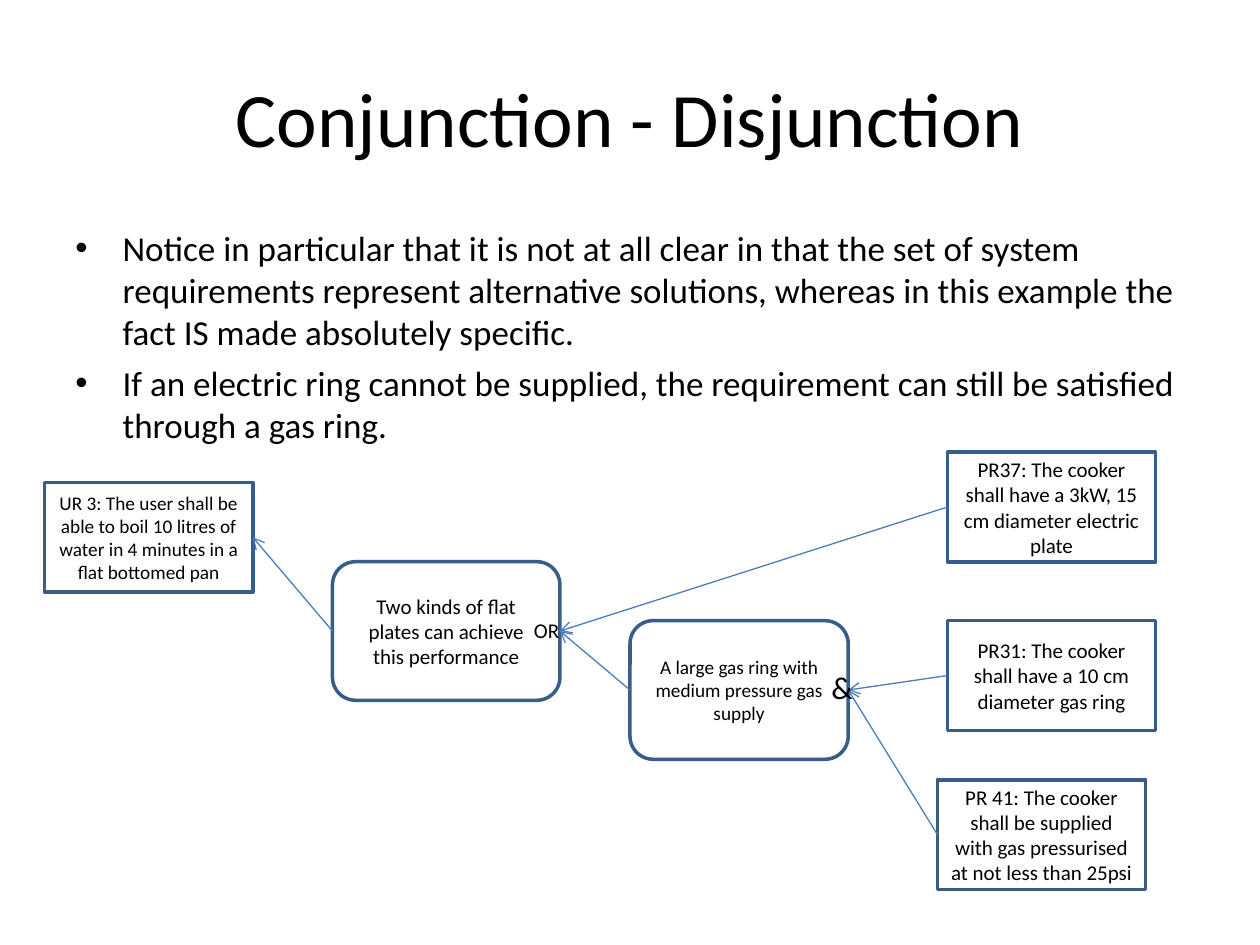
"""Builds the Conjunction - Disjunction slide with its requirement tree."""
from lxml import etree
from pptx import Presentation
from pptx.dml.color import RGBColor
from pptx.enum.shapes import MSO_CONNECTOR, MSO_SHAPE
from pptx.enum.text import MSO_ANCHOR, PP_ALIGN
from pptx.oxml.ns import qn
from pptx.util import Pt

BLACK = RGBColor(0x00, 0x00, 0x00)
EDGE = RGBColor(0x38, 0x5D, 0x8A)
LINK = RGBColor(0x4A, 0x7E, 0xBB)
RECT, ROUND = MSO_SHAPE.RECTANGLE, MSO_SHAPE.ROUNDED_RECTANGLE
LEFT, CENTER = PP_ALIGN.LEFT, PP_ALIGN.CENTER
TOP, MIDDLE = MSO_ANCHOR.TOP, MSO_ANCHOR.MIDDLE
STRAIGHT = MSO_CONNECTOR.STRAIGHT
FONT = "Calibri"
LEFT_SITE, RIGHT_SITE = 1, 3
HANG = 27

TITLE = "Conjunction - Disjunction"
POINTS = [
    "Notice in particular that it is not at all clear in that the set of system "
    "requirements represent alternative solutions, whereas in this example the "
    "fact IS made absolutely specific.",
    "If an electric ring cannot be supplied, the requirement can still be "
    "satisfied through a gas ring.",
]
SIZES = {RECT: (119, 62.7), ROUND: (130, 79.2)}
BOXES = {
    "plate": (RECT, 541.4, 258.4, 12,
              "PR37: The cooker shall have a 3kW, 15 cm diameter electric plate"),
    "ring": (RECT, 541.4, 354.7, 12,
             "PR31: The cooker shall have a 10 cm diameter gas ring"),
    "psi": (RECT, 535.7, 445.6, 12,
            "PR 41: The cooker shall be supplied with gas pressurised "
            "at not less than 25psi"),
    "gas": (ROUND, 360, 354.7, 11,
            "A large gas ring with medium pressure gas supply"),
    "kinds": (ROUND, 190, 321, 12,
              "Two kinds of flat plates can achieve this performance"),
    "user": (RECT, 25.5, 275.7, 11,
             "UR 3: The user shall be able to boil 10 litres of water "
             "in 4 minutes in a flat bottomed pan"),
}
WIDTHS = {"gas": 124.7}
LINKS = [("plate", "kinds"), ("ring", "gas"), ("psi", "gas"),
         ("gas", "kinds"), ("kinds", "user")]
MARKS = [("&", 468, 378, 26.6, 29, 18), ("OR", 298, 349.2, 29, 21.6, 12)]


def write(shape, lines, size, align, anchor, wrap=True):
    frame = shape.text_frame
    frame.text = "\n".join(lines)
    frame.word_wrap = wrap
    frame.vertical_anchor = anchor
    for para in frame.paragraphs:
        para.alignment = align
        for run in para.runs:
            run.font.name = FONT
            run.font.size = Pt(size)
            run.font.color.rgb = BLACK
    return frame


def add_text(slide, place, *style):
    return write(slide.shapes.add_textbox(*map(Pt, place)), *style)


def add_bullet(para):
    props = para._p.get_or_add_pPr()
    props.set("marL", str(Pt(HANG)))
    props.set("indent", str(-Pt(HANG)))
    etree.SubElement(props, qn("a:buFont")).set("typeface", "Arial")
    etree.SubElement(props, qn("a:buChar")).set("char", "•")


def add_box(slide, name):
    kind, left, top, size, text = BOXES[name]
    width, height = SIZES[kind]
    place = (left, top, WIDTHS.get(name, width), height)
    box = slide.shapes.add_shape(kind, *map(Pt, place))
    box.shadow.inherit = False
    box.fill.background()
    box.line.color.rgb = EDGE
    box.line.width = Pt(2)
    write(box, [text], size, CENTER, MIDDLE)
    return box


def add_link(slide, start, end):
    link = slide.shapes.add_connector(STRAIGHT, 0, 0, 0, 0)
    link.begin_connect(start, LEFT_SITE)
    link.end_connect(end, RIGHT_SITE)
    link.line.color.rgb = LINK
    link.line.width = Pt(0.75)
    props = link._element.spPr
    tail = etree.SubElement(props.find(qn("a:ln")), qn("a:tailEnd"))
    tail.set("type", "arrow")
    etree.SubElement(props, qn("a:effectLst"))


def main():
    deck = Presentation()
    deck.slide_width, deck.slide_height = Pt(720), Pt(540)
    slide = deck.slides.add_slide(deck.slide_layouts[6])

    add_text(slide, (36, 21.6, 648, 90), [TITLE], 44, CENTER, MIDDLE)
    body = add_text(slide, (36, 126, 648, 138), POINTS, 20, LEFT, TOP)
    for para in body.paragraphs:
        add_bullet(para)
    for para in body.paragraphs[1:]:
        para.space_before = Pt(5)

    boxes = {name: add_box(slide, name) for name in BOXES}
    for start, end in LINKS:
        add_link(slide, boxes[start], boxes[end])
    for text, *place, size in MARKS:
        add_text(slide, place, [text], size, LEFT, TOP, False)

    deck.save("out.pptx")


if __name__ == "__main__":
    main()
